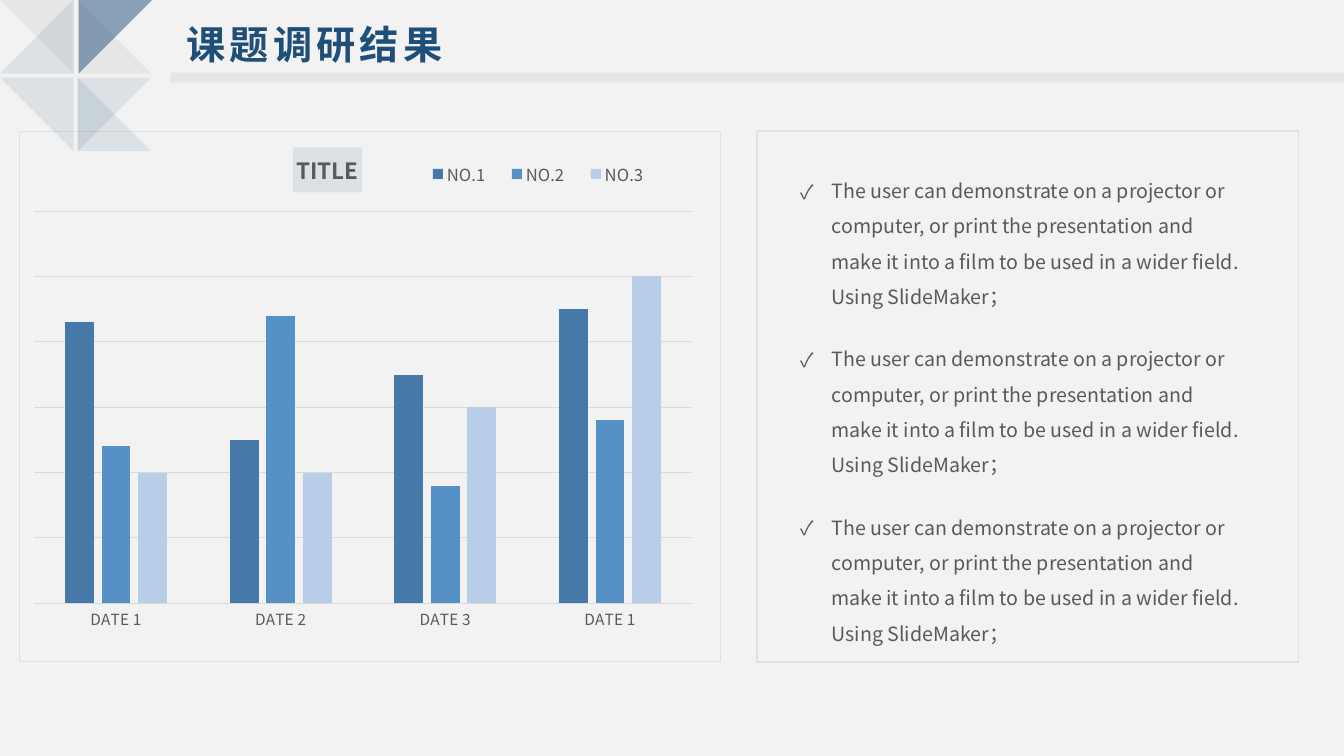
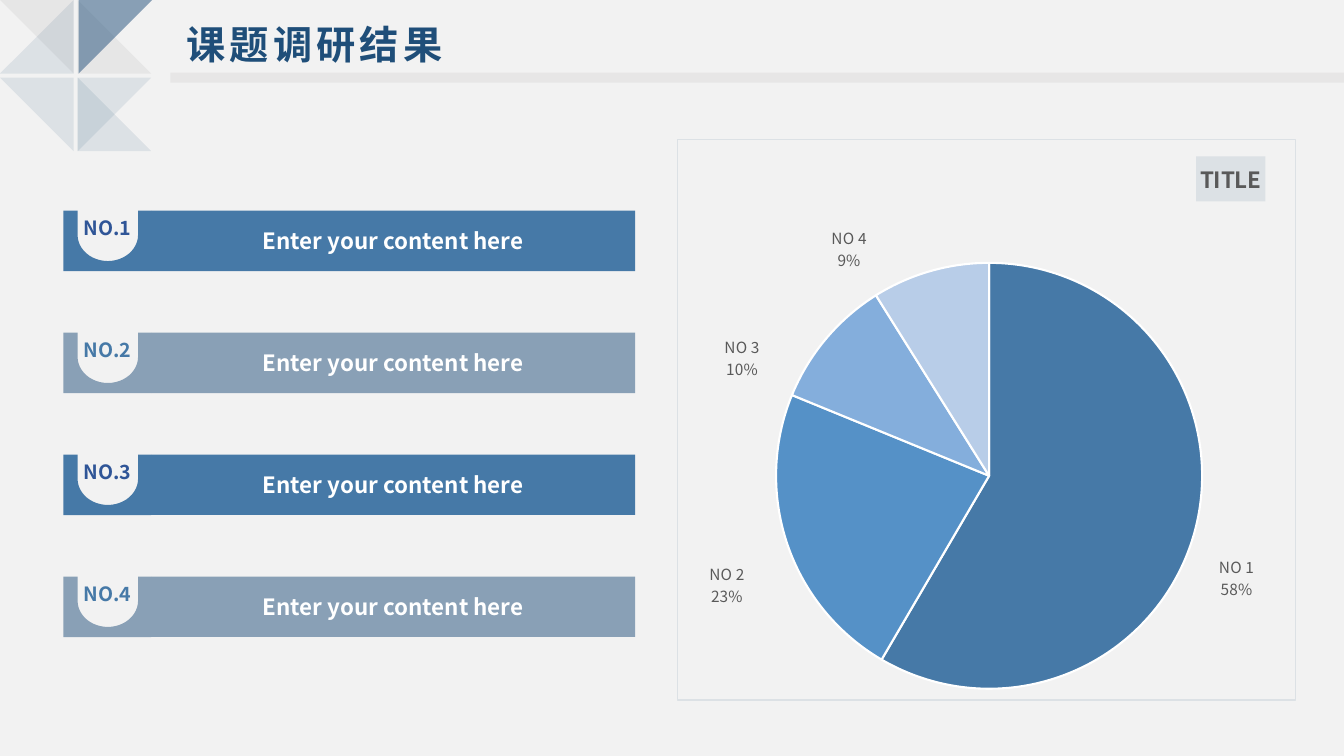
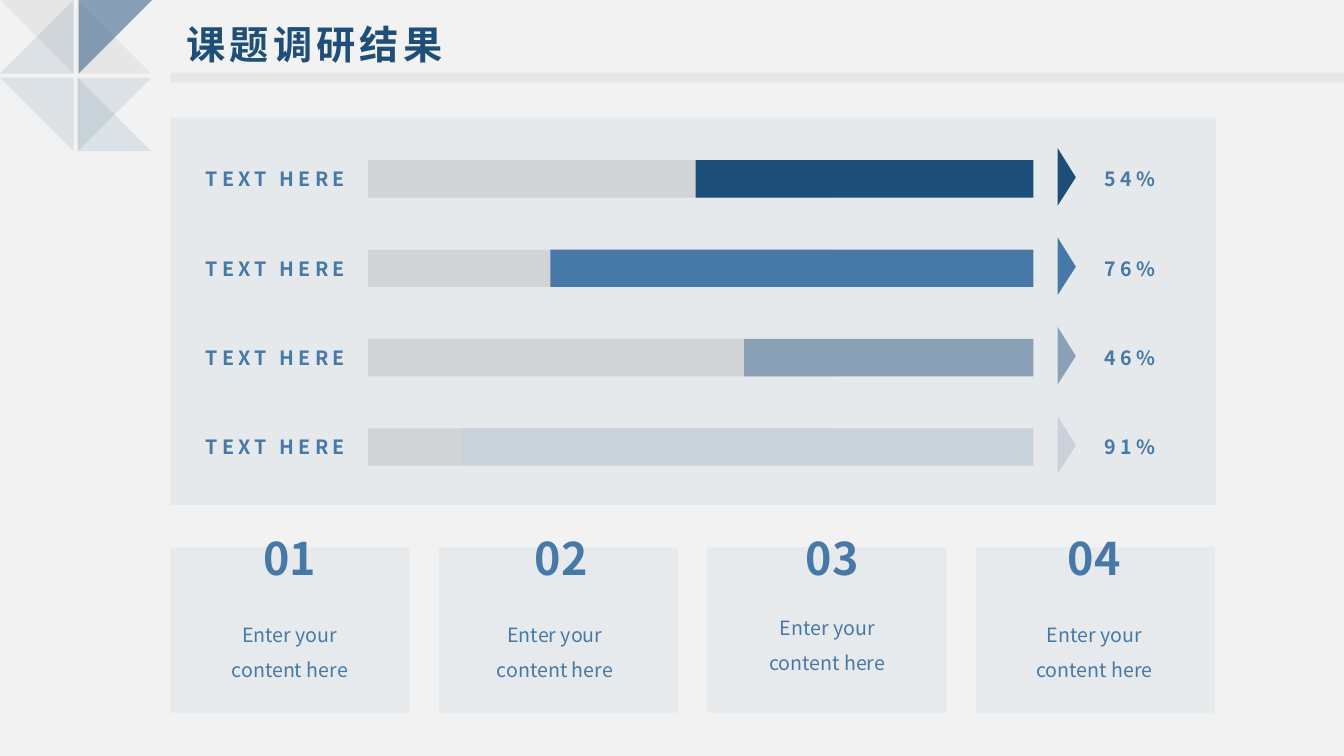
from math import cos, sin, pi
from lxml.etree import SubElement
from pptx import Presentation
from pptx.chart.data import CategoryChartData
from pptx.dml.color import RGBColor
from pptx.enum.chart import XL_CHART_TYPE, XL_LABEL_POSITION, XL_LEGEND_POSITION, XL_TICK_MARK
from pptx.enum.shapes import MSO_SHAPE
from pptx.enum.text import MSO_ANCHOR, PP_ALIGN
from pptx.oxml.ns import qn
from pptx.util import Inches, Pt

FONT = "Noto Sans CJK SC"
PAPER = RGBColor(0xF2, 0xF2, 0xF2)
WHITE = RGBColor(0xFF, 0xFF, 0xFF)
BLACK = RGBColor(0, 0, 0)
NAVY = RGBColor(0x1F, 0x4E, 0x79)
DEEP = RGBColor(0x1D, 0x4E, 0x79)
INDIGO = RGBColor(0x2F, 0x55, 0x97)
STEEL = RGBColor(0x46, 0x79, 0xA7)
BLUE = RGBColor(0x55, 0x91, 0xC7)
SKY = RGBColor(0x84, 0xAE, 0xDC)
PALE = RGBColor(0xB8, 0xCD, 0xE8)
SLATE = RGBColor(0x89, 0xA0, 0xB6)
MIST = RGBColor(0xC9, 0xD2, 0xDA)
FRAME = RGBColor(0xDC, 0xE1, 0xE5)
CARD = RGBColor(0xE7, 0xEA, 0xEC)
RULE = RGBColor(0xE7, 0xE6, 0xE6)
GRID = RGBColor(0xD9, 0xD9, 0xD9)
GRAY = RGBColor(0x7F, 0x7F, 0x7F)
INK = RGBColor(0x59, 0x59, 0x59)

TITLE = "课题调研结果"
NEAR, FAR, SIDE = 0, 0.77, 0.73
MOTIF = [
    (NEAR, NEAR, "tl tr br", GRAY, 10),
    (NEAR, NEAR, "tr br bl", NAVY, 10),
    (FAR, NEAR, "tl bl br", GRAY, 10),
    (FAR, FAR, "tl tr bl", NAVY, 10),
    (NEAR, FAR, "tl tr br", NAVY, 10),
    (FAR, FAR, "tl br bl", NAVY, 10),
    (0.78, NEAR, "tl tr bl", NAVY, 50),
]
CORNERS = {"tl": (0, 0), "tr": (1, 0), "br": (1, 1), "bl": (0, 1)}

DATES = ["DATE 1", "DATE 2", "DATE 3", "DATE 1"]
SERIES = [
    ("NO.1", (86, 50, 70, 90), STEEL),
    ("NO.2", (48, 88, 36, 56), BLUE),
    ("NO.3", (40, 40, 60, 100), PALE),
]
POINT = ("The user can demonstrate on a projector or computer, or print the presentation "
         "and make it into a film to be used in a wider field. Using SlideMaker；")

SLICES = [
    ("NO 1", 59, STEEL, (0.03, 0.04)),
    ("NO 2", 23, BLUE, (-0.06, 0.03)),
    ("NO 3", 10, SKY, (-0.1, 0.08)),
    ("NO 4", 9, PALE, (-0.1, 0.01)),
]
ENTER = "Enter your content here"
BANNERS = [
    ("NO.1", STEEL, INDIGO),
    ("NO.2", SLATE, STEEL),
    ("NO.3", STEEL, INDIGO),
    ("NO.4", SLATE, STEEL),
]

BARS = [
    ("54%", 3.35, DEEP),
    ("76%", 4.79, STEEL),
    ("46%", 2.87, SLATE),
    ("91%", 5.67, MIST),
]
CARDS = [
    ("01", 2.44, 1.94, 6.01),
    ("02", 5.13, 4.57, 6.01),
    ("03", 7.82, 7.27, 5.94),
    ("04", 10.42, 9.92, 6.01),
]


def box(at):
    return [Inches(n) for n in at]


def style(font, size, color, bold=False):
    font.name = FONT
    font.size = Pt(size)
    font.bold = bold
    font.color.rgb = color


def write(frame, text, size, color, bold=False, align=PP_ALIGN.LEFT, space=None):
    para = frame.paragraphs[0]
    para.alignment = align
    run = para.add_run()
    run.text = text
    style(run.font, size, color, bold)
    props = run.font._element
    SubElement(props, qn("a:ea"), typeface=FONT)
    if space:
        props.set("spc", str(space * 100))
    return para


def label(slide, at, text, size, color, bold=False, align=PP_ALIGN.LEFT,
          space=None, anchor=MSO_ANCHOR.TOP):
    frame = slide.shapes.add_textbox(*box(at)).text_frame
    frame.word_wrap = True
    frame.vertical_anchor = anchor
    return write(frame, text, size, color, bold, align, space)


def paint(shape, color, alpha=None):
    shape.shadow.inherit = False
    shape.line.fill.background()
    shape.fill.solid()
    shape.fill.fore_color.rgb = color
    if alpha:
        tint = shape._element.spPr.find(".//" + qn("a:srgbClr"))
        SubElement(tint, qn("a:alpha"), val=str(alpha * 1000))
    return shape


def rect(slide, at, color, alpha=None):
    return paint(slide.shapes.add_shape(MSO_SHAPE.RECTANGLE, *box(at)), color, alpha)


def outline(slide, points, color, alpha=None):
    spots = [box(p) for p in points]
    pen = slide.shapes.build_freeform(*spots[0])
    pen.add_line_segments(spots[1:], close=True)
    return paint(pen.convert_to_shape(), color, alpha)


def header(slide):
    rect(slide, (1.69, 0.72, 11.65, 0.1), RULE)
    para = label(slide, (1.55, 0.15, 4.82, 0.57), TITLE, 28, NAVY, True, space=3)
    para._p.get_or_add_pPr().set("marL", str(Inches(0.2)))
    for left, top, names, color, alpha in MOTIF:
        points = [(left + SIDE * CORNERS[n][0], top + SIDE * CORNERS[n][1])
                  for n in names.split()]
        outline(slide, points, color, alpha)


def place(node, index, edge=True, inner=False, **spot):
    old = node.find(qn("c:layout"))
    if old is not None:
        node.remove(old)
    lay = SubElement(node, qn("c:layout"))
    node.insert(index, lay)
    man = SubElement(lay, qn("c:manualLayout"))
    if inner:
        SubElement(man, qn("c:layoutTarget"), val="inner")
    if edge:
        SubElement(man, qn("c:xMode"), val="edge")
        SubElement(man, qn("c:yMode"), val="edge")
    for key, val in spot.items():
        SubElement(man, qn("c:" + key), val=str(val))


def graph(slide, kind, at, data, spot, plot):
    chart = slide.shapes.add_chart(kind, *box(at), data).chart
    style(chart.font, 10, BLACK)
    chart.has_title = True
    head = chart.chart_title
    write(head.text_frame, "TITLE", 16, INK, True, PP_ALIGN.CENTER)
    head.format.fill.solid()
    head.format.fill.fore_color.rgb = FRAME
    body = chart._chartSpace.find(qn("c:chart"))
    place(body.find(qn("c:title")), 1, x=spot[0], y=spot[1])
    place(body.find(qn("c:plotArea")), 0, inner=True, **dict(zip("xywh", plot)))
    props = SubElement(chart._chartSpace, qn("c:spPr"))
    body.addnext(props)
    SubElement(props, qn("a:noFill"))
    line = SubElement(props, qn("a:ln"), w=str(Pt(0.75)))
    fill = SubElement(line, qn("a:solidFill"))
    SubElement(fill, qn("a:srgbClr"), val=str(FRAME))
    return chart


def columns(slide):
    data = CategoryChartData()
    data.categories = DATES
    for name, vals, _ in SERIES:
        data.add_series(name, vals)
    chart = graph(slide, XL_CHART_TYPE.COLUMN_CLUSTERED, (0.19, 1.3, 6.96, 5.27), data,
                  (0.39, 0.03), (0.02, 0.15, 0.94, 0.74))
    plot = chart.plots[0]
    plot.gap_width, plot.overlap = 219, -27
    plot.vary_by_categories = False
    for ser, (_, _, color) in zip(plot.series, SERIES):
        ser.format.fill.solid()
        ser.format.fill.fore_color.rgb = color
    cat, val = chart.category_axis, chart.value_axis
    cat.major_tick_mark = XL_TICK_MARK.NONE
    style(cat.tick_labels.font, 11, INK)
    val.minimum_scale, val.maximum_scale, val.major_unit = 0, 120, 20
    val.visible = False
    val.has_major_gridlines = True
    for line in (cat.format.line, val.major_gridlines.format.line):
        line.color.rgb = GRID
        line.width = Pt(0.75)
    chart.has_legend = True
    key = chart.legend
    key.position = XL_LEGEND_POSITION.TOP
    key.include_in_layout = False
    style(key.font, 11.9, INK)
    place(key._element, 1, x=0.56, y=0.05, w=0.36, h=0.06)


def pie(slide):
    data = CategoryChartData()
    data.categories = [s[0] for s in SLICES]
    data.add_series("Series 1", [s[1] for s in SLICES])
    chart = graph(slide, XL_CHART_TYPE.PIE, (6.71, 1.38, 6.14, 5.57), data,
                  (0.84, 0.03), (0.16, 0.22, 0.69, 0.76))
    chart.has_legend = False
    ser = chart.plots[0].series[0]
    tags = ser.data_labels
    style(tags.font, 11, INK)
    tags.position = XL_LABEL_POSITION.OUTSIDE_END
    for num, (_, _, color, _) in enumerate(SLICES):
        point = ser.points[num]
        point.format.fill.solid()
        point.format.fill.fore_color.rgb = color
        point.format.line.color.rgb = WHITE
        point.format.line.width = Pt(1.5)
        style(point.data_label.font, 11, INK)
        point.data_label.position = XL_LABEL_POSITION.OUTSIDE_END
    root = ser._element
    for node, part in zip(root.iter(qn("c:dLbl")), SLICES):
        place(node, 1, edge=False, x=part[3][0], y=part[3][1])
    flags = {"showVal": "0", "showCatName": "1", "showPercent": "1", "showLeaderLines": "0"}
    for name, val in flags.items():
        for node in root.iter(qn("c:" + name)):
            node.set("val", val)
    for node in list(root.iter(qn("c:showBubbleSize"))):
        gap = SubElement(node.getparent(), qn("c:separator"))
        gap.text = "\n"
        node.addnext(gap)


def survey(slide):
    columns(slide)
    panel = rect(slide, (7.51, 1.3, 5.37, 5.27), PAPER)
    panel.fill.background()
    panel.line.color.rgb = FRAME
    panel.line.width = Pt(1)
    for row in range(3):
        para = label(slide, (7.84, 1.61 + 1.67 * row, 4.63, 1.47), POINT, 14, INK)
        para.line_spacing = 1.5
        props = para._p.get_or_add_pPr()
        props.set("marL", str(Inches(0.31)))
        props.set("indent", str(-Inches(0.31)))
        SubElement(props, qn("a:buFont"), typeface=FONT)
        SubElement(props, qn("a:buChar"), char="✓")


def shares(slide):
    pie(slide)
    left, wide, high, mid, steps = 0.63, 0.87, 0.6, 1.07, 24
    for row, (name, color, ink) in enumerate(BANNERS):
        top = 2.09 + 1.21 * row
        arc = [(mid - 0.3 * cos(pi * n / steps), top + 0.24 + 0.26 * sin(pi * n / steps))
               for n in range(steps + 1)]
        right = left + wide
        points = [(left, top), (arc[0][0], top), *arc, (arc[-1][0], top),
                  (right, top), (right, top + high), (left, top + high)]
        badge = outline(slide, points, color).text_frame
        badge.vertical_anchor = MSO_ANCHOR.TOP
        write(badge, name, 14, ink, True, PP_ALIGN.CENTER)
        strip = rect(slide, (right, top, 4.8, high), color).text_frame
        strip.vertical_anchor = MSO_ANCHOR.MIDDLE
        write(strip, ENTER, 16, WHITE, True, PP_ALIGN.CENTER)


def progress(slide):
    rect(slide, (1.69, 1.17, 10.37, 3.84), FRAME, 50)
    high, end, tip = 0.37, 10.25, 10.49
    for row, (share, wide, color) in enumerate(BARS):
        top = 1.59 + (4.25 - 1.59) / 3 * row
        rect(slide, (3.65, top, 4.61, high), BLACK, 9)
        rect(slide, (end - wide, top, wide, high), color)
        outline(slide, [(tip, top - 0.12), (tip + 0.18, top + 0.17), (tip, top + 0.45)], color)
        label(slide, (1.54, top, 1.98, high), "TEXT HERE", 14, STEEL, True,
              PP_ALIGN.RIGHT, 3, MSO_ANCHOR.MIDDLE)
        label(slide, (10.86, top, 1.47, high), share, 14, STEEL, True,
              space=3, anchor=MSO_ANCHOR.MIDDLE)
    for col, (num, left, side, top) in enumerate(CARDS):
        rect(slide, (1.69 + (9.68 - 1.69) / 3 * col, 5.43, 2.37, 1.64), CARD)
        para = label(slide, (side, top, 1.87, 0.77), ENTER, 14, STEEL, align=PP_ALIGN.CENTER)
        para.line_spacing = 1.5
        label(slide, (left, 5.22, 0.87, 0.64), num, 32, STEEL, True, PP_ALIGN.CENTER)


def main():
    deck = Presentation()
    deck.slide_width, deck.slide_height = Inches(13.33), Inches(7.5)
    back = deck.slide_master.background.fill
    back.solid()
    back.fore_color.rgb = PAPER
    for build in (survey, shares, progress):
        slide = deck.slides.add_slide(deck.slide_layouts[6])
        build(slide)
        header(slide)
    deck.save("out.pptx")


if __name__ == "__main__":
    main()
